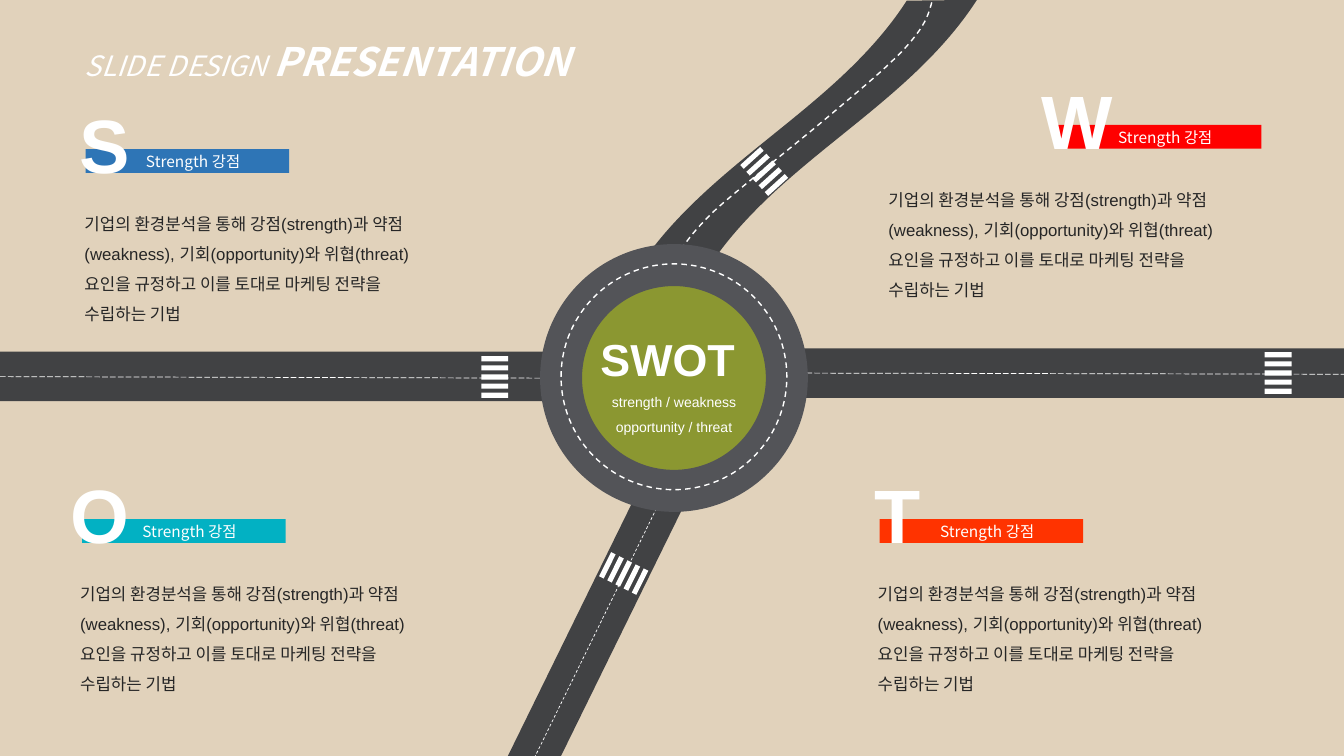
from math import cos, radians, sin

from lxml.etree import SubElement
from pptx import Presentation
from pptx.dml.color import RGBColor
from pptx.enum.dml import MSO_LINE
from pptx.enum.shapes import MSO_CONNECTOR, MSO_SHAPE
from pptx.enum.text import MSO_ANCHOR, MSO_AUTO_SIZE, PP_ALIGN
from pptx.oxml.ns import qn
from pptx.util import Cm, Pt

# All lengths are in centimetres, text sizes and line widths in points.
LATIN, KOREAN = "Arial", "Noto Sans CJK KR"
WHITE, INK, SAND = "FFFFFF", "262626", "E1D2BB"
ASPHALT, KERB, OLIVE = "414244", "535458", "8B9731"

TITLE = [("SLIDE DESIGN ", 20, False), ("PRESENTATION", 28, True)]
HUB = [("SWOT ", 32, True), ("strength / weakness opportunity / threat", 10, False)]
LABEL = "Strength 강점"
DESCRIPTION = [
    "기업의 환경분석을 통해 강점(strength)과 약점(weakness), 기회(opportunity)와 위협(threat)",
    "요인을 규정하고 이를 토대로 마케팅 전략을 수립하는 기법",
]
# letter, bar colour, bar left, bar top, letter offset, description offset
QUADRANTS = [
    ("S", "2E75B6", 2.16, 3.76, -0.52, -0.28),
    ("O", "02B1C3", 2.07, 13.08, -0.54, -0.3),
    ("T", "FF3300", 22.17, 13.08, -0.54, -0.3),
    ("W", "FF0000", 26.66, 3.15, -0.66, -4.52),
]
# preset, box, adjustments, rotation
ROADS = [
    (MSO_SHAPE.PARALLELOGRAM, (12.8, 12.47, 4.57, 6.58), [0.707], 0),
    (MSO_SHAPE.RECTANGLE, (0, 8.86, 14.15, 1.25), [], 0),
    (MSO_SHAPE.WAVE, (14.88, 2.59, 10.9, 1.65), [0.125, 0.058], 315),
    (MSO_SHAPE.RECTANGLE, (19.73, 8.78, 14.14, 1.25), [], 0),
]
# start x, start y, end x, end y, dash
CENTRE_LINES = [
    (16.71, 12.47, 13.49, 19.05, MSO_LINE.DASH),
    (0, 9.49, 14.15, 9.53, MSO_LINE.LONG_DASH),
    (19.73, 9.4, 33.87, 9.43, MSO_LINE.LONG_DASH),
]
BEND_START = (17.04, 6.5)
BEND_CURVES = [
    ((17.22, 6.2), (17.4, 5.89), (18.06, 5.26)),
    ((18.75, 4.65), (20.29, 3.45), (21.11, 2.74)),
    ((21.92, 2.06), (22.58, 1.5), (22.96, 1.04)),
    ((23.37, 0.56), (23.42, 0.28), (23.5, 0)),
]
# centre x, centre y, rotation
CROSSWALKS = [(15.72, 14.45, 296.5), (12.47, 9.5, 0), (19.26, 4.32, 317.9), (32.21, 9.4, 0)]
STRIPE_WIDTH, STRIPE_HEIGHT, STRIPE_STEP, STRIPES = 0.68, 0.13, 0.23, 5


def color(hex_string):
    return RGBColor.from_string(hex_string)


def add_preset(preset, box, fill=None):
    shape = slide.shapes.add_shape(preset, *map(Cm, box))
    shape.shadow.inherit = False
    shape.line.fill.background()
    if fill:
        shape.fill.solid()
        shape.fill.fore_color.rgb = color(fill)
    else:
        shape.fill.background()
    return shape


def style_line(line, width, hex_string=WHITE, dash=None):
    line.color.rgb = color(hex_string)
    line.width = Pt(width)
    if dash:
        line.dash_style = dash


def style_run(run, size, bold=False, face=LATIN, hex_string=WHITE):
    font = run.font
    font.size, font.bold, font.name = Pt(size), bold, face
    font.color.rgb = color(hex_string)
    SubElement(font._element, qn("a:ea")).set("typeface", KOREAN)


def add_text(box, lines, hex_string=WHITE, align=None, spacing=None):
    """Add a text box with one paragraph for each (text, size, bold)."""
    frame = slide.shapes.add_textbox(*map(Cm, box)).text_frame
    frame.word_wrap = True
    frame.text = "\n".join(text for text, _, _ in lines)
    for paragraph, (_, size, bold) in zip(frame.paragraphs, lines):
        paragraph.alignment, paragraph.line_spacing = align, spacing
        style_run(paragraph.runs[0], size, bold, hex_string=hex_string)


def bezier(start, first, second, end, steps=10):
    """Yield the points after start on a cubic curve."""
    for step in range(1, steps + 1):
        t = step / steps
        yield tuple(
            Cm((1 - t) ** 3 * a + 3 * (1 - t) ** 2 * t * b + 3 * (1 - t) * t**2 * c + t**3 * d)
            for a, b, c, d in zip(start, first, second, end)
        )


def add_crosswalk(x, y, rotation):
    angle = radians(rotation)
    for index in range(STRIPES):
        shift = (index - (STRIPES - 1) / 2) * STRIPE_STEP
        left = x - shift * sin(angle) - STRIPE_WIDTH / 2
        top = y + shift * cos(angle) - STRIPE_HEIGHT / 2
        stripe = add_preset(MSO_SHAPE.RECTANGLE, (left, top, STRIPE_WIDTH, STRIPE_HEIGHT), WHITE)
        stripe.rotation = rotation


def add_quadrant(letter, fill, left, top, letter_shift, description_shift):
    bar = add_preset(MSO_SHAPE.RECTANGLE, (left, top, 5.13, 0.6), fill)
    bar.text_frame.text = LABEL
    bar.text_frame.vertical_anchor = MSO_ANCHOR.MIDDLE
    label = bar.text_frame.paragraphs[0]
    label.level, label.alignment = 1, PP_ALIGN.LEFT
    style_run(label.runs[0], 11, face=KOREAN)
    add_text((left + letter_shift, top - 1.42, 2, 2.57), [(letter, 54, True)], align=PP_ALIGN.CENTER)
    add_text((left + description_shift, top + 1.24, 9.47, 3.33),
             [(text, 12, False) for text in DESCRIPTION], INK, spacing=1.5)


presentation = Presentation()
presentation.slide_width, presentation.slide_height = Cm(33.87), Cm(19.05)
slide = presentation.slides.add_slide(presentation.slide_layouts[5])
slide.background.fill.solid()
slide.background.fill.fore_color.rgb = color(SAND)

title = slide.shapes.title
title.left, title.top, title.width, title.height = map(Cm, (1.88, 0.23, 14.99, 1.83))
title.text_frame.auto_size = MSO_AUTO_SIZE.NONE
title.text_frame.vertical_anchor = MSO_ANCHOR.TOP
heading = title.text_frame.paragraphs[0]
heading.alignment, heading.line_spacing = PP_ALIGN.LEFT, 1.5
for text, size, bold in TITLE:
    part = heading.add_run()
    part.text = text
    style_run(part, size, bold, KOREAN)
    part.font.italic = True

for preset, box, adjustments, rotation in ROADS:
    road = add_preset(preset, box, ASPHALT)
    road.rotation = rotation
    for index, value in enumerate(adjustments):
        road.adjustments[index] = value

for *ends, dash in CENTRE_LINES:
    centre_line = slide.shapes.add_connector(MSO_CONNECTOR.STRAIGHT, *map(Cm, ends))
    style_line(centre_line.line, 0.5, dash=dash)
    SubElement(centre_line._element.spPr, qn("a:effectLst"))

outline = slide.shapes.build_freeform(*map(Cm, BEND_START))
curve_start = BEND_START
for curve in BEND_CURVES:
    outline.add_line_segments(list(bezier(curve_start, *curve)), close=False)
    curve_start = curve[-1]
bend = outline.convert_to_shape()
bend.shadow.inherit = False
bend.fill.background()
style_line(bend.line, 1, dash=MSO_LINE.DASH)

for crosswalk in CROSSWALKS:
    add_crosswalk(*crosswalk)

roundabout = add_preset(MSO_SHAPE.OVAL, (14.14, 6.68, 5.69, 5.69), OLIVE)
style_line(roundabout.line, 30, KERB)
add_text((14.38, 7.55, 5.21, 3.58), HUB, align=PP_ALIGN.CENTER, spacing=1.5)
lane = add_preset(MSO_SHAPE.OVAL, (14.14, 6.65, 5.69, 5.69))
style_line(lane.line, 1, dash=MSO_LINE.DASH)

for quadrant in QUADRANTS:
    add_quadrant(*quadrant)

presentation.save("out.pptx")
